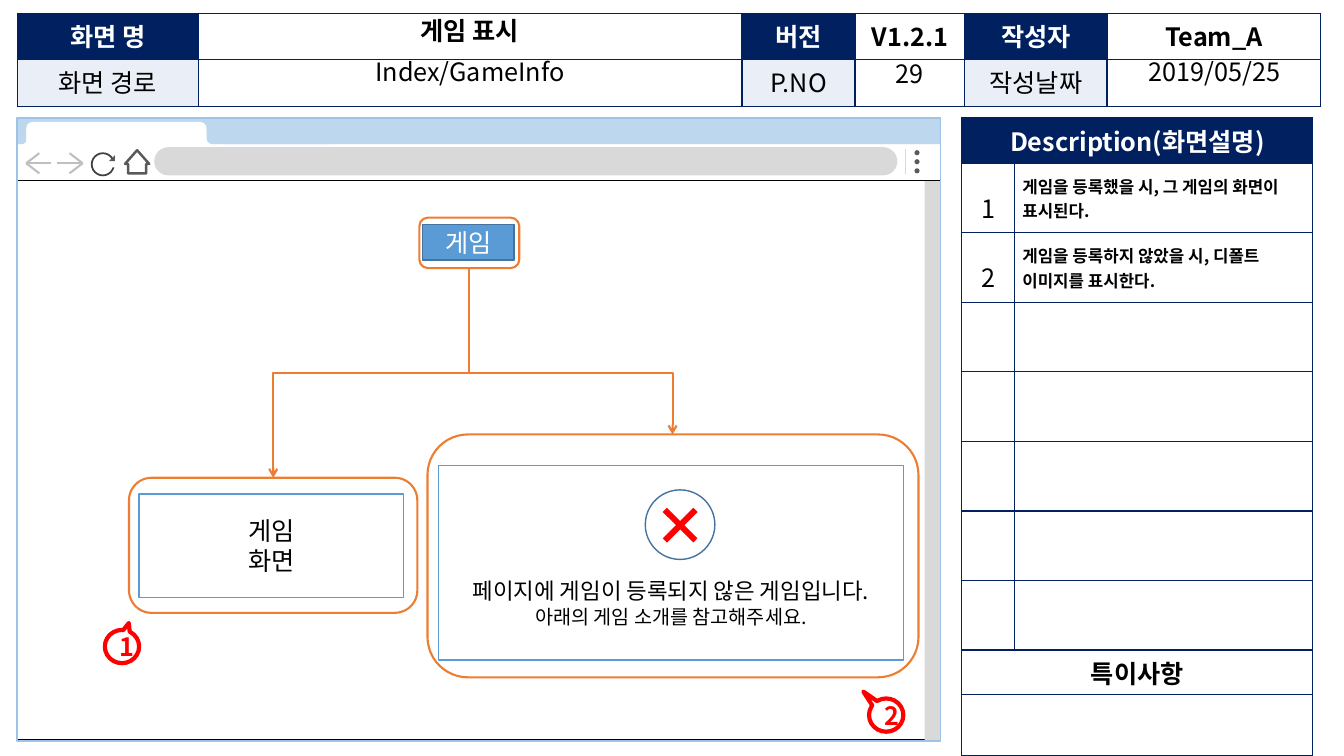
from dataclasses import dataclass

import pptx
import pptx.dml.color
import pptx.enum.shapes
import pptx.enum.text
import pptx.oxml
import pptx.oxml.ns
import pptx.util

PX = 9144  # EMU per px, 100 px to the inch
SHAPE = pptx.enum.shapes.MSO_SHAPE
CONNECTOR = pptx.enum.shapes.MSO_CONNECTOR
ALIGN = pptx.enum.text.PP_ALIGN
ANCHOR = pptx.enum.text.MSO_ANCHOR


@dataclass(frozen=True)
class Theme:
    font: str = "Noto Sans CJK KR"
    white: str = "FFFFFF"
    black: str = "000000"
    navy: str = "002060"
    pale: str = "EAEFF7"
    tab: str = "BDD7EE"
    frame: str = "9DC3E6"
    blue: str = "5B9BD5"
    steel: str = "43739E"
    orange: str = "ED7D31"
    red: str = "FF0000"
    track: str = "D9D9D9"
    arrow: str = "BFBFBF"
    dark: str = "404040"
    icon: str = "595959"
    body: int = 18
    message: int = 16
    hint: int = 14
    note: int = 12


T = Theme()


@dataclass(frozen=True)
class Box:
    at: tuple[int, int, int, int]
    kind: SHAPE = SHAPE.RECTANGLE
    fill: str | None = None
    line: str | None = None
    width: float = 1
    adj: tuple[float, ...] = ()
    rot: int = 0
    text: str = ""
    color: str = T.black
    sizes: tuple[int, ...] = (T.body, T.body)
    bold: bool = False
    top: int = 5


@dataclass(frozen=True)
class Label:
    at: tuple[int, int, int, int]
    text: str
    bold: bool = False
    anchor: ANCHOR = ANCHOR.TOP
    spacing: float = 0.9


BROWSER = [
    Box((16, 178, 916, 556), fill=T.white, line=T.black, width=0.5),
    Box((917, 179, 16, 555), fill=T.track),
    Box((17, 142, 916, 37), fill=T.white, line=T.black, width=0.5),
    Box((153, 146, 737, 28), SHAPE.ROUNDED_RECTANGLE, T.track, adj=(0.5,)),
    *[Box((907, y, 5, 5), SHAPE.OVAL, T.icon) for y in (149, 158, 167)],
    Box((17, 117, 916, 26), fill=T.tab),
    Box((91, 152, 22, 22), SHAPE.OVAL, line=T.dark, width=1.25),
    Box((109, 158, 8, 8), fill=T.white),
    Box((108, 154, 6, 6), SHAPE.ISOSCELES_TRIANGLE, T.icon, adj=(1,)),
    Box((124, 149, 24, 23), SHAPE.DOWN_ARROW, T.white, T.icon, 1.75, (0.75, 0.59), 180),
    Box((26, 121, 179, 23), SHAPE.ROUNDED_RECTANGLE, T.white, adj=(0.28,)),
    Box((188, 130, 34, 15), SHAPE.ROUNDED_RECTANGLE, T.white, adj=(0.17,)),
    Box((205, 123, 127, 20), SHAPE.ROUNDED_RECTANGLE, T.tab, adj=(0.28,)),
    Box((21, 130, 13, 15), SHAPE.ROUNDED_RECTANGLE, T.white, adj=(0.17,)),
    Box((17, 123, 9, 20), SHAPE.ROUNDED_RECTANGLE, T.tab, adj=(0.46,)),
    Box((17, 117, 916, 618), line=T.frame),
]

CALLOUTS = [
    Box(at, SHAPE.OVAL_CALLOUT, line=T.red, width=3, adj=adj, text=text,
        color=T.red, bold=True)
    for text, at, adj in (("1", (104, 625, 34, 33), (0.2, -0.71)),
                          ("2", (862, 693, 34, 33), (-0.67, -0.71)))
]
OUTLINES = [
    Box(at, SHAPE.ROUNDED_RECTANGLE, line=T.orange, width=1.5)
    for at in ((416, 216, 99, 50), (424, 431, 487, 241), (128, 474, 286, 134))
]
SCREENS = [
    Box((419, 223, 91, 35), fill=T.blue, line=T.steel, text="게임", color=T.white),
    Box((138, 490, 262, 103), fill=T.white, line=T.blue, text="게임\n화면"),
    Box((435, 462, 461, 193), fill=T.white, line=T.blue, top=84,
        text="페이지에 게임이 등록되지 않은 게임입니다.\n아래의 게임 소개를 참고해주세요.",
        sizes=(T.message, T.hint)),
    Box((640, 486, 69, 69), SHAPE.OVAL, T.white, T.steel),
    *[Box((653, 518, 43, 6), fill=T.red, rot=rot) for rot in (45, 135)],
]

LABELS = [
    Label((197, 14, 538, 38), "게임 표시", bold=True),
    Label((197, 54, 538, 38), "Index/GameInfo"),
    Label((1099, 54, 211, 38), "2019/05/25"),
    Label((848, 54, 108, 38), "29", anchor=ANCHOR.MIDDLE, spacing=1),
]

HEADER = [["화면 명", "", "버전", "V1.2.1", "작성자", "Team_A"],
          ["화면 경로", "", "P.NO", "", "작성날짜", ""]]
NOTES = ["게임을 등록했을 시, 그 게임의 화면이 표시된다.",
         "게임을 등록하지 않았을 시, 디폴트 이미지를 표시한다."]


def rgb(color: str) -> pptx.dml.color.RGBColor:
    return pptx.dml.color.RGBColor.from_string(color)


def write(tf, text: str, *, sizes=(T.body, T.body), color=T.black, bold=False,
          align=ALIGN.CENTER, spacing=1.0) -> None:
    """Fill a text frame, one paragraph per line, each with its own size."""
    for i, (line, size) in enumerate(zip(text.split("\n"), sizes)):
        p = tf.add_paragraph() if i else tf.paragraphs[0]
        p.alignment, p.line_spacing = align, spacing
        r = p.add_run()
        r.text = line
        r.font.size, r.font.bold = pptx.util.Pt(size), bold
        r.font.color.rgb = rgb(color)
        r.font.name = T.font
        ea = pptx.oxml.parse_xml(f'<a:ea {pptx.oxml.ns.nsdecls("a")} typeface="{T.font}"/>')
        r.font._element.append(ea)


def draw_box(s, box: Box) -> None:
    sp = s.shapes.add_shape(box.kind, *(v * PX for v in box.at))
    sp.shadow.inherit = False
    sp.rotation = box.rot
    for i, value in enumerate(box.adj):
        sp.adjustments[i] = value
    for part, color in ((sp.fill, box.fill), (sp.line.fill, box.line)):
        if color:
            part.solid()
            part.fore_color.rgb = rgb(color)
        else:
            part.background()
    if box.line:
        sp.line.width = pptx.util.Pt(box.width)
    if box.text:
        tf = sp.text_frame
        tf.word_wrap, tf.vertical_anchor = True, ANCHOR.MIDDLE
        tf.margin_top = box.top * PX
        write(tf, box.text, sizes=box.sizes, color=box.color, bold=box.bold)


def draw_label(s, label: Label) -> None:
    tf = s.shapes.add_textbox(*(v * PX for v in label.at)).text_frame
    tf.word_wrap, tf.vertical_anchor = True, label.anchor
    write(tf, label.text, bold=label.bold, spacing=label.spacing)


def draw_line(s, x1, y1, x2, y2, color: str, width: float, kind=CONNECTOR.STRAIGHT):
    cxn = s.shapes.add_connector(kind, *(int(v * PX) for v in (x1, y1, x2, y2)))
    cxn.line.color.rgb = rgb(color)
    cxn.line.width = pptx.util.Pt(width)
    cxn._element.spPr.append(pptx.oxml.parse_xml(f'<a:effectLst {pptx.oxml.ns.nsdecls("a")}/>'))
    return cxn


def draw_branch(s, x1: int, y1: int, x2: int, y2: int, bend: int) -> None:
    """Draw an elbow arrow that leaves downwards and turns at height bend."""
    cx, cy, half_w, half_h = (x1 + x2) / 2, (y1 + y2) / 2, (y2 - y1) / 2, abs(x2 - x1) / 2
    side = 1 if x2 > x1 else -1
    cxn = draw_line(s, cx + side * half_w, cy - half_h, cx - side * half_w, cy + half_h,
                    T.orange, 1.5, CONNECTOR.ELBOW)
    spPr = cxn._element.spPr
    spPr.find(pptx.oxml.ns.qn("a:xfrm")).set("rot", str((270 if side > 0 else 90) * 60000))
    geometry = spPr.find(pptx.oxml.ns.qn("a:prstGeom"))
    geometry.rewrite_guides([("adj1", round((bend - y1) / (y2 - y1) * 100000))])
    tail = f'<a:tailEnd {pptx.oxml.ns.nsdecls("a")} type="arrow"/>'
    spPr.find(pptx.oxml.ns.qn("a:ln")).append(pptx.oxml.parse_xml(tail))


def draw_table(s, x: int, y: int, cols: list[int], rows: list[int]):
    """Add a white table with navy borders."""
    frame = s.shapes.add_table(len(rows), len(cols), x * PX, y * PX, sum(cols) * PX, sum(rows) * PX)
    table = frame.table
    table.first_row = table.horz_banding = False
    for tracks, lengths, name in ((table.columns, cols, "width"), (table.rows, rows, "height")):
        for track, length in zip(tracks, lengths):
            setattr(track, name, length * PX)
    for cell in table.iter_cells():
        tcPr = cell._tc.get_or_add_tcPr()
        for edge in ("lnL", "lnR", "lnT", "lnB"):
            tcPr.append(pptx.oxml.parse_xml(
                f'<a:{edge} {pptx.oxml.ns.nsdecls("a")} w="12700"><a:solidFill>'
                f'<a:srgbClr val="{T.navy}"/></a:solidFill></a:{edge}>'))
        set_cell(cell)
        cell.margin_left = cell.margin_right = 8 * PX
        cell.margin_top = cell.margin_bottom = 4 * PX
    return table


def set_cell(cell, text: str = "", fill: str = T.white, anchor=ANCHOR.TOP, **style) -> None:
    cell.fill.solid()
    cell.fill.fore_color.rgb = rgb(fill)
    cell.vertical_anchor = anchor
    if text:
        write(cell.text_frame, text, **style)


def draw_header(s) -> None:
    table = draw_table(s, 17, 13, [180, 539, 112, 109, 141, 212], [46, 47])
    for row, (texts, shade) in enumerate(zip(HEADER, (T.navy, T.pale))):
        for col, text in enumerate(texts):
            is_key = col % 2 == 0
            set_cell(table.cell(row, col), text, shade if is_key else T.white, bold=row == 0,
                     color=T.white if is_key and row == 0 else T.black)


def draw_description(s) -> None:
    table = draw_table(s, 954, 117, [52, 296], [45] + [69] * 7 + [44, 61])
    for row in (0, 8, 9):
        table.cell(row, 0).merge(table.cell(row, 1))
    set_cell(table.cell(0, 0), "Description(화면설명)", T.navy, color=T.white, bold=True)
    set_cell(table.cell(8, 0), "특이사항", bold=True)
    for row, note in enumerate(NOTES, 1):
        set_cell(table.cell(row, 0), str(row), anchor=ANCHOR.MIDDLE, spacing=1.5)
        set_cell(table.cell(row, 1), note, anchor=ANCHOR.MIDDLE, sizes=(T.note,),
                 bold=True, align=ALIGN.LEFT)


def main() -> None:
    prs = pptx.Presentation()
    prs.slide_width, prs.slide_height = 1333 * PX, 750 * PX
    s = prs.slides.add_slide(prs.slide_layouts[6])
    for box in BROWSER:
        draw_box(s, box)
    draw_line(s, 898, 148, 898, 173, T.track, 1)
    for tip, side in ((26, 1), (82, -1)):
        for dx, dy in ((25, 0), (13, -10), (13, 10)):
            draw_line(s, tip, 162, tip + side * dx, 162 + dy, T.arrow, 1.5)
    draw_header(s)
    for label in LABELS:
        draw_label(s, label)
    draw_description(s)
    for x, y in ((667, 431), (271, 474)):
        draw_branch(s, 465, 266, x, y, 370)
    for box in CALLOUTS + OUTLINES + SCREENS:
        draw_box(s, box)
    prs.save("out.pptx")


if __name__ == "__main__":
    main()
